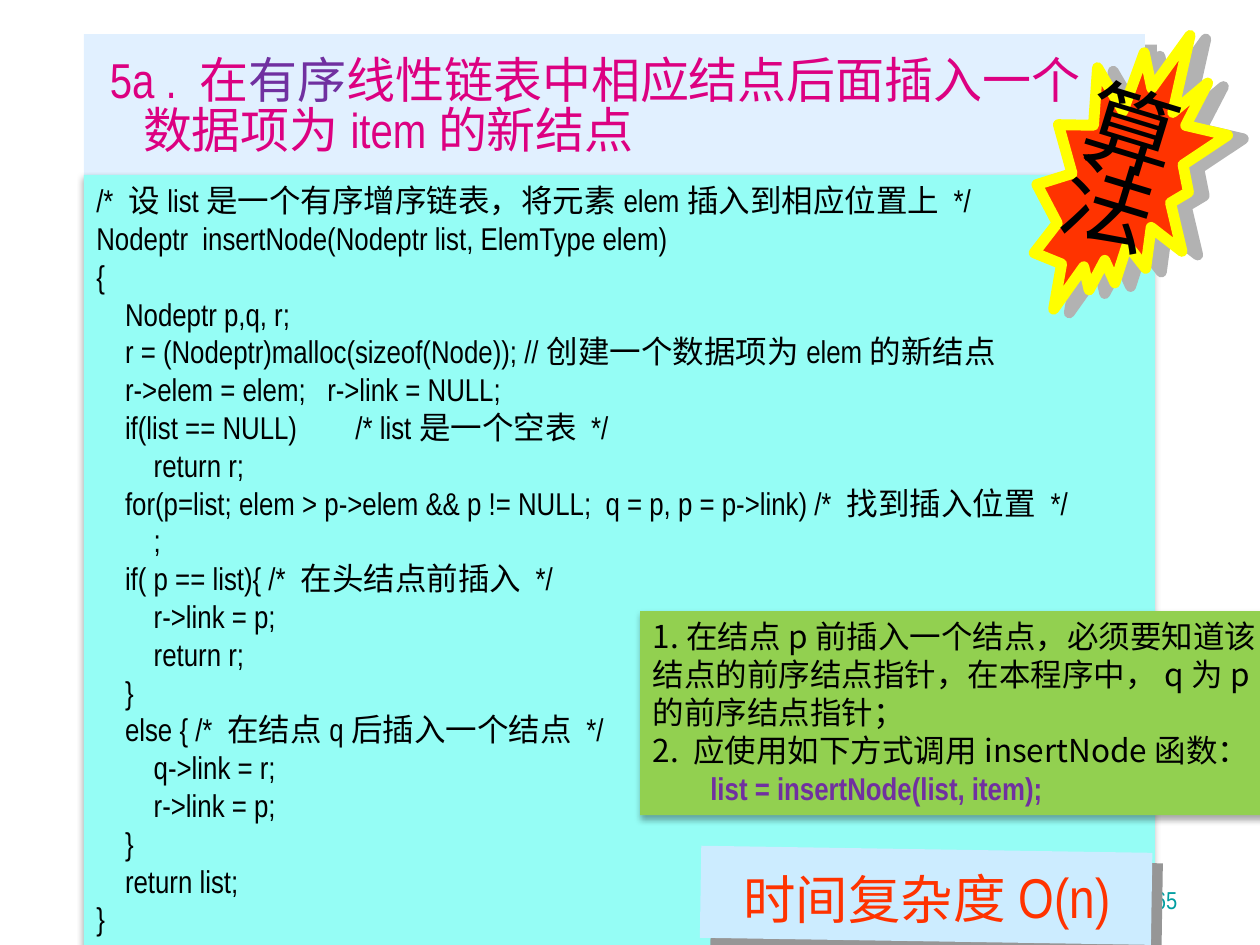
from dataclasses import dataclass
from typing import Optional

from lxml.etree import SubElement
from pptx import Presentation
from pptx.dml.color import RGBColor
from pptx.enum.shapes import MSO_SHAPE
from pptx.enum.text import MSO_ANCHOR, PP_ALIGN
from pptx.oxml.ns import qn
from pptx.util import Pt

COLORS = {
    "header": "E1F0FF", "title": "DC0081", "accent": "7030A0",
    "code": "95FDF5", "note": "92D050", "result": "CCECFF",
    "red": "FF3300", "yellow": "FFFF00", "black": "000000",
    "teal": "009EA1", "silver": "B2B2B2", "gray": "969696",
}
LATIN = "Arial Narrow"
CJK = "Noto Sans CJK SC"

CODE = """\
/* 设list是一个有序增序链表，将元素elem插入到相应位置上 */
Nodeptr  insertNode(Nodeptr list, ElemType elem)
{
    Nodeptr p,q, r;
    r = (Nodeptr)malloc(sizeof(Node)); //创建一个数据项为elem的新结点
    r->elem = elem;   r->link = NULL;
    if(list == NULL) \t /* list是一个空表 */
        return r;
    for(p=list; elem > p->elem && p != NULL;  q = p, p = p->link) /* 找到插入位置 */
        ;
    if( p == list){ /* 在头结点前插入 */
        r->link = p;
        return r;
    }
    else { /* 在结点q后插入一个结点 */
        q->link = r;
        r->link = p;
    }
    return list;
}"""


@dataclass
class Shadow:
    color: str
    distance: float
    angle: float
    blur: float = 0
    opacity: int = 100


@dataclass
class Box:
    left: float
    top: float
    width: float
    height: float
    rotation: float = 0

    def frame(self):
        return [Pt(v) for v in (self.left, self.top, self.width, self.height)]


@dataclass
class Run:
    text: str
    font: str = LATIN
    color: str = "black"
    size: float = 18
    bold: bool = False
    shadow: Optional[Shadow] = None


@dataclass
class Line:
    runs: list[Run]
    align: PP_ALIGN = PP_ALIGN.LEFT
    spacing: float = 1
    indent: float = 0


SOFT = Shadow("black", 2.2, 90, 3.5, 32)


def add_shadow(effects, shadow: Shadow) -> None:
    outer = SubElement(effects, qn("a:outerShdw"), {
        "blurRad": str(Pt(shadow.blur)), "dist": str(Pt(shadow.distance)),
        "dir": str(int(shadow.angle * 60000)), "algn": "ctr", "rotWithShape": "0"})
    color = SubElement(outer, qn("a:srgbClr"), val=COLORS[shadow.color])
    SubElement(color, qn("a:alpha"), val=str(shadow.opacity * 1000))


def add_panel(slide, box: Box, fill: str, shadow: Shadow,
              preset=MSO_SHAPE.RECTANGLE, outline: Optional[str] = None):
    panel = slide.shapes.add_shape(preset, *box.frame())
    panel.rotation = box.rotation
    panel.fill.solid()
    panel.fill.fore_color.rgb = RGBColor.from_string(COLORS[fill])
    if outline:
        panel.line.color.rgb = RGBColor.from_string(COLORS[outline])
        panel.line.width = Pt(6.25)
    else:
        panel.line.fill.background()
    panel.shadow.inherit = False
    add_shadow(panel._element.spPr.find(qn("a:effectLst")), shadow)
    return panel


def style_font(font, run: Run) -> None:
    """Apply a run's look, with the East Asian face set beside the Latin one."""
    font.size = Pt(run.size)
    font.bold = run.bold
    font.color.rgb = RGBColor.from_string(COLORS[run.color])
    if run.shadow:
        add_shadow(SubElement(font._element, qn("a:effectLst")), run.shadow)
    font.name = run.font
    SubElement(font._element, qn("a:ea"), typeface=CJK)


def write(shape, lines: list[Line], anchor=MSO_ANCHOR.TOP) -> None:
    frame = shape.text_frame
    frame.word_wrap = True
    frame.vertical_anchor = anchor
    for index, line in enumerate(lines):
        paragraph = frame.add_paragraph() if index else frame.paragraphs[0]
        paragraph.alignment = line.align
        paragraph.line_spacing = line.spacing
        if line.indent:
            paragraph._p.get_or_add_pPr().set("marL", str(Pt(line.indent)))
        if len(line.runs) == 1:
            style_font(paragraph.font, line.runs[0])
        for run in line.runs:
            piece = paragraph.add_run()
            piece.text = run.text
            if len(line.runs) > 1:
                style_font(piece.font, run)


def add_text(slide, box: Box, lines: list[Line], anchor=MSO_ANCHOR.TOP) -> None:
    text = slide.shapes.add_textbox(*box.frame())
    text.rotation = box.rotation
    write(text, lines, anchor)


def title_run(text: str, font: str = CJK, color: str = "title") -> Run:
    return Run(text, font, color, 28)


def main() -> None:
    deck = Presentation()
    deck.slide_width, deck.slide_height = Pt(720), Pt(540)
    slide = deck.slides.add_slide(deck.slide_layouts[6])

    add_text(slide, Box(530, 490.3, 149.8, 36),
             [Line([Run("65", color="teal", size=14)], PP_ALIGN.RIGHT)],
             MSO_ANCHOR.BOTTOM)

    add_panel(slide, Box(48, 19.5, 606.2, 84.2), "header", Shadow("silver", 9.2, 41))
    add_text(slide, Box(49.7, 30.2, 624.2, 64.8), [
        Line([title_run("5a . ", LATIN), title_run("在"),
              title_run("有序", color="accent"),
              title_run("线性链表中相应结点后面插入一个")], spacing=0.85, indent=6),
        Line([title_run("数据项为"), title_run("item", LATIN),
              title_run("的新结点")], spacing=0.85, indent=25),
    ])

    code = add_panel(slide, Box(48, 100, 612, 443.5), "code", SOFT)
    write(code, [Line([Run(text)]) for text in CODE.splitlines()])

    add_panel(slide, Box(594.7, 15.1, 101.5, 168.5, 11.1), "red",
              Shadow("silver", 9.2, 13), MSO_SHAPE.EXPLOSION2, "yellow")
    add_text(slide, Box(569.5, 54, 138.2, 96.5, 17.1),
             [Line([Run(character, size=53)], PP_ALIGN.CENTER, 0.7)
              for character in "算法"], MSO_ANCHOR.MIDDLE)

    note = add_panel(slide, Box(365.8, 349.2, 368.6, 116.6), "note", SOFT)
    write(note, [
        Line([Run("1.在结点p前插入一个结点，必须要知道该结点的前序结点指针，"
                  "在本程序中，q为p的前序结点指针；", CJK)]),
        Line([Run("2. 应使用如下方式调用insertNode函数：", CJK)]),
        Line([Run("list = insertNode(list, item);", color="accent", bold=True)],
             indent=33),
    ])

    add_panel(slide, Box(400.3, 485.3, 257.8, 52.6, 0.9), "result",
              Shadow("gray", 8.5, 45))
    text_shadow = Shadow("black", 1.5, 45)
    add_text(slide, Box(417.6, 489.6, 238.3, 45.4, 359.9), [
        Line([Run("时间复杂度", CJK, "red", 30, shadow=text_shadow),
              Run("O(n)", LATIN, "red", 32, shadow=text_shadow)])])

    deck.save("out.pptx")


if __name__ == "__main__":
    main()
